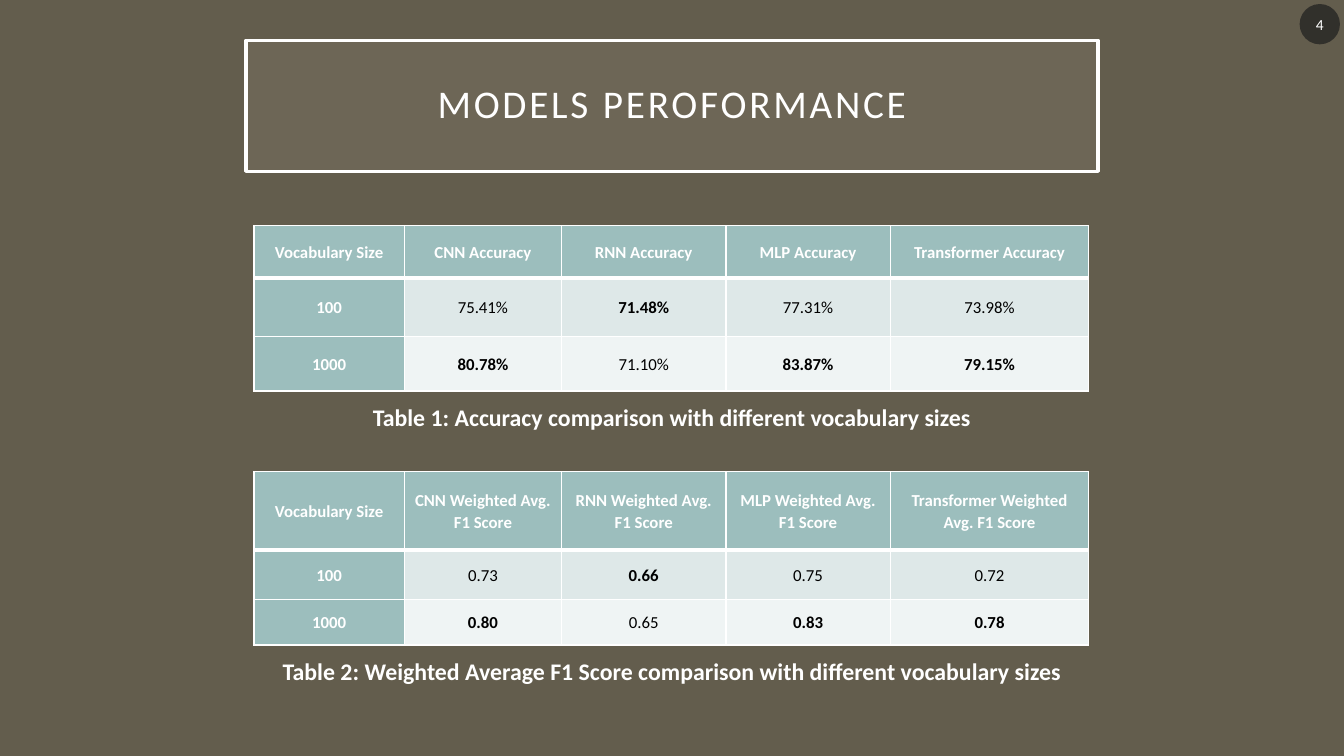
from dataclasses import dataclass

from lxml import etree
from pptx import Presentation
from pptx.dml.color import RGBColor
from pptx.enum.shapes import MSO_SHAPE
from pptx.enum.text import MSO_ANCHOR, PP_ALIGN
from pptx.oxml.ns import qn
from pptx.shapes.autoshape import Shape
from pptx.slide import Slide
from pptx.table import _Cell
from pptx.text.text import TextFrame
from pptx.util import Inches, Pt

RECTANGLE, OVAL = MSO_SHAPE.RECTANGLE, MSO_SHAPE.OVAL
MIDDLE, TOP = MSO_ANCHOR.MIDDLE, MSO_ANCHOR.TOP
CENTER = PP_ALIGN.CENTER


@dataclass(frozen=True)
class Theme:
    """Colours, font and type sizes of the slide."""
    font: str = "Calibri"
    background: str = "635D4D"
    white: str = "FFFFFF"
    black: str = "000000"
    title_fill: str = "A7A08E"
    badge_fill: str = "1D1D1D"
    heading_fill: str = "9CBEBD"
    row_fills: tuple[str, ...] = ("DEE8E8", "EFF4F4")
    title_size: float = 28
    caption_size: float = 17
    cell_size: float = 12
    badge_size: float = 11


@dataclass(frozen=True)
class Comparison:
    """One results table with its caption."""
    top: float
    row_heights: tuple[float, ...]
    metric: str
    scores: tuple[tuple[str, ...], ...]
    caption: str
    caption_top: float
    caption_height: float


THEME = Theme()
MODELS = ("CNN", "RNN", "MLP", "Transformer")
VOCABULARY_SIZES = ("100", "1000")
TABLE_LEFT = 2.52
COLUMN_WIDTHS = (1.49, 1.56, 1.63, 1.63, 1.97)
CAPTION_LEFT, CAPTION_WIDTH = 2.68, 7.97
COMPARISONS = (
    Comparison(2.24, (0.52, 0.58, 0.54), "Accuracy",
               (("75.41%", "71.48%", "77.31%", "73.98%"),
                ("80.78%", "71.10%", "83.87%", "79.15%")),
               "Table 1: Accuracy comparison with different vocabulary sizes",
               3.95, 0.69),
    Comparison(4.68, (0.78, 0.49, 0.45), "Weighted Avg. F1 Score",
               (("0.73", "0.66", "0.75", "0.72"),
                ("0.80", "0.65", "0.83", "0.78")),
               "Table 2: Weighted Average F1 Score comparison with different vocabulary sizes",
               6.47, 0.67),
)


def write_text(frame: TextFrame, text: str, *, size: float, color: str = THEME.white,
               bold: bool = False, line_spacing: float = 1.0, tracking: float = 0) -> None:
    """Write one centred paragraph with the given format."""
    frame.word_wrap = True
    paragraph = frame.paragraphs[0]
    paragraph.alignment = CENTER
    paragraph.line_spacing = line_spacing
    run = paragraph.add_run()
    run.text = text
    run.font.name = THEME.font
    run.font.size = Pt(size)
    run.font.bold = bold
    run.font.color.rgb = RGBColor.from_string(color)
    if tracking:
        run.font._element.set("spc", str(int(tracking * 100)))


def set_insets(target: TextFrame | _Cell, horizontal: float, vertical: float) -> None:
    """Set equal side margins and equal top and bottom margins."""
    target.margin_left = target.margin_right = Inches(horizontal)
    target.margin_top = target.margin_bottom = Inches(vertical)


def add_panel(slide: Slide, kind: MSO_SHAPE, box: tuple[float, ...], color: str,
              opacity: int) -> Shape:
    """Add a translucent shape without outline or shadow."""
    panel = slide.shapes.add_shape(kind, *map(Inches, box))
    panel.shadow.inherit = False
    panel.fill.solid()
    panel.fill.fore_color.rgb = RGBColor.from_string(color)
    tint = panel._element.spPr.find(qn("a:solidFill")).find(qn("a:srgbClr"))
    etree.SubElement(tint, qn("a:alpha"), val=str(opacity * 1000))
    panel.line.fill.background()
    panel.text_frame.vertical_anchor = MIDDLE
    return panel


def add_title(slide: Slide) -> None:
    """Add the framed slide title."""
    title = add_panel(slide, RECTANGLE, (2.44, 0.4, 8.45, 1.3), THEME.title_fill, 15)
    title.line.color.rgb = RGBColor.from_string(THEME.white)
    title.line.width = Pt(2.5)
    set_insets(title.text_frame, 0.2, 0.2)
    write_text(title.text_frame, "MODELS PEROFORMANCE", size=THEME.title_size,
               line_spacing=0.9, tracking=2)


def add_page_badge(slide: Slide) -> None:
    """Add the round page number."""
    badge = add_panel(slide, OVAL, (12.89, 0.04, 0.4, 0.4), THEME.badge_fill, 70)
    set_insets(badge.text_frame, 0.02, 0.05)
    write_text(badge.text_frame, "4", size=THEME.badge_size)


def draw_borders(cell: _Cell, row: int) -> None:
    """Draw white cell borders, thicker below the header row."""
    widths = {"a:lnL": 1, "a:lnR": 1, "a:lnT": 3 if row == 1 else 1,
              "a:lnB": 3 if row == 0 else 1}
    properties = cell._tc.get_or_add_tcPr()
    for side, width in widths.items():
        border = etree.SubElement(properties, qn(side), w=str(Pt(width)))
        fill = etree.SubElement(border, qn("a:solidFill"))
        etree.SubElement(fill, qn("a:srgbClr"), val=THEME.white)


def fill_cell(cell: _Cell, row: int, text: str, heading: bool, best: bool) -> None:
    """Format one cell as a heading or as a score."""
    draw_borders(cell, row)
    cell.fill.solid()
    cell.fill.fore_color.rgb = RGBColor.from_string(
        THEME.heading_fill if heading else THEME.row_fills[row - 1])
    cell.vertical_anchor = MIDDLE
    set_insets(cell, 0.07, 0)
    write_text(cell.text_frame, text, size=THEME.cell_size, bold=heading or best,
               color=THEME.white if heading else THEME.black, line_spacing=1.07)


def add_comparison(slide: Slide, comparison: Comparison) -> None:
    """Add a table that sets each model's best score in bold, and its caption."""
    heights = comparison.row_heights
    table = slide.shapes.add_table(
        len(heights), len(COLUMN_WIDTHS), Inches(TABLE_LEFT), Inches(comparison.top),
        Inches(sum(COLUMN_WIDTHS)), Inches(sum(heights))).table
    for column, width in zip(table.columns, COLUMN_WIDTHS):
        column.width = Inches(width)
    for table_row, height in zip(table.rows, heights):
        table_row.height = Inches(height)

    header = ("Vocabulary Size", *(f"{model} {comparison.metric}" for model in MODELS))
    body = ((size, *scores) for size, scores in zip(VOCABULARY_SIZES, comparison.scores))
    best_scores = ("", *map(max, zip(*comparison.scores)))
    for row, texts in enumerate((header, *body)):
        for column, text in enumerate(texts):
            fill_cell(table.cell(row, column), row, text, heading=row == 0 or column == 0,
                      best=text == best_scores[column])

    caption = slide.shapes.add_textbox(
        Inches(CAPTION_LEFT), Inches(comparison.caption_top),
        Inches(CAPTION_WIDTH), Inches(comparison.caption_height)).text_frame
    caption.vertical_anchor = TOP
    write_text(caption, comparison.caption, size=THEME.caption_size, bold=True)


def main() -> None:
    """Build and save the slide."""
    presentation = Presentation()
    presentation.slide_width, presentation.slide_height = Inches(13.33), Inches(7.5)
    slide = presentation.slides.add_slide(presentation.slide_layouts[6])
    slide.background.fill.solid()
    slide.background.fill.fore_color.rgb = RGBColor.from_string(THEME.background)
    add_title(slide)
    add_page_badge(slide)
    for comparison in COMPARISONS:
        add_comparison(slide, comparison)
    presentation.save("out.pptx")


if __name__ == "__main__":
    main()
